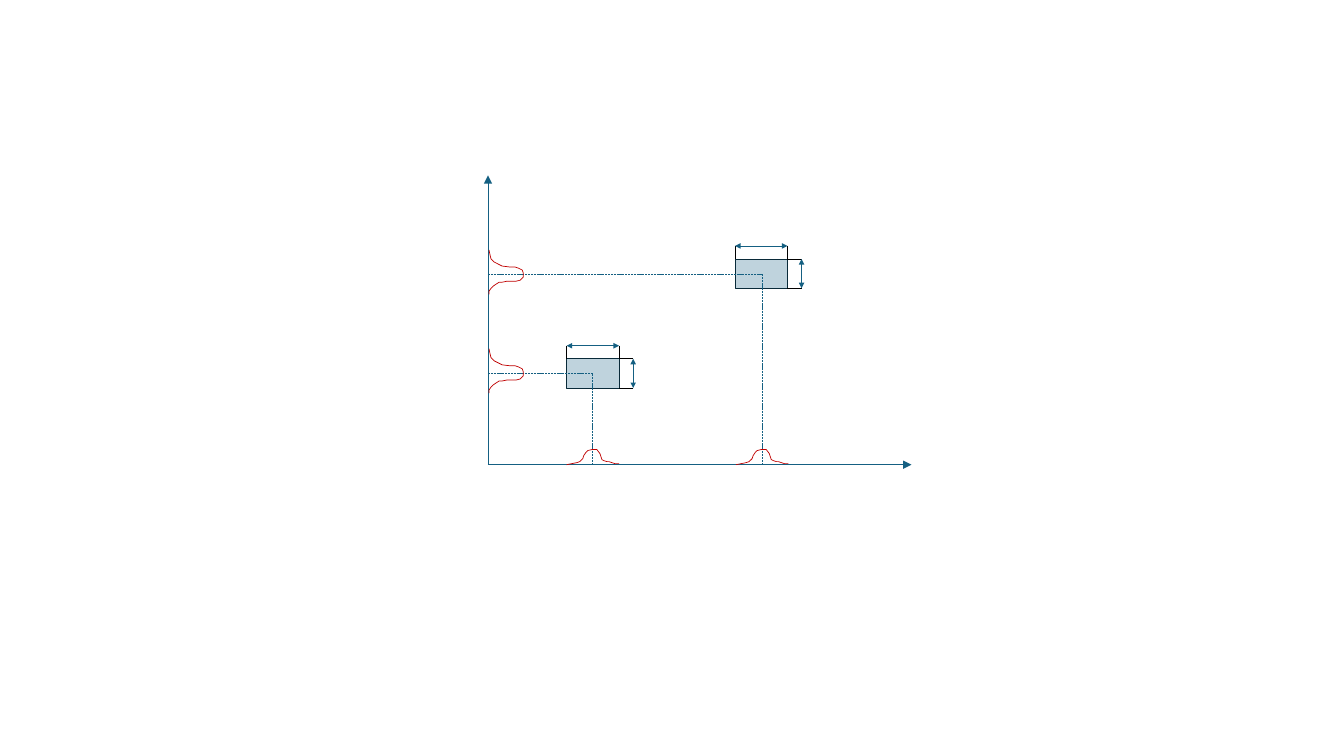
from lxml import etree
from pptx import Presentation
from pptx import util as u
from pptx.dml.color import RGBColor
from pptx.enum import dml, shapes
from pptx.oxml.ns import qn

PX = 9144  # 100 px to the inch
TEAL, NAVY, BLACK, RED = "156082", "092A39", "000000", "C00000"

ORIGIN, AXIS_RIGHT, AXIS_TOP = (484, 461), 904, 174
# corner of each range box, and the mean values it marks on the axes
RANGES = [((562, 356), (588, 370)), ((729, 257), (756, 272))]
BOX_WIDTH, BOX_HEIGHT = 52, 29
RISE, REACH = 13, 14  # distance of the dimension lines from a box

# (distance along the axis, height above the axis)
X_BELL = [(0, 0), (10, 2), (13, 3), (16, 6), (17, 9), (19, 12), (21, 14),
          (25, 15), (30, 15), (33, 11), (34, 8), (35, 5), (37, 4), (40, 3),
          (42, 3), (45, 2), (48, 1), (52, 1)]
Y_BELL = [(0, 0), (5, 1), (9, 2), (12, 5), (14, 9), (16, 13), (17, 21),
          (17, 26), (18, 29), (20, 33), (23, 34), (27, 34), (30, 31),
          (31, 27), (31, 18), (32, 13), (32, 10), (34, 7), (36, 4), (38, 2),
          (41, 0), (44, 0)]
BELL_OFFSET = {"x": 26, "y": 24}  # from the start of a bell to its mean


def color(code):
    return RGBColor.from_string(code)


def style_line(shape, code):
    shape.line.color.rgb = color(code)
    shape.line.width = u.Pt(0.5)


def add_line(parent, start, end, code=TEAL, arrows=(), arrow_size="med", dashed=False):
    ends = [value * PX for value in (*start, *end)]
    line = parent.add_connector(shapes.MSO_CONNECTOR.STRAIGHT, *ends)
    style_line(line, code)
    if dashed:
        line.line.dash_style = dml.MSO_LINE.SQUARE_DOT
    properties = line._element.spPr
    for arrow in arrows:
        etree.SubElement(properties.find(qn("a:ln")), qn(f"a:{arrow}"),
                         type="triangle", w=arrow_size, len=arrow_size)
    etree.SubElement(properties, qn("a:effectLst"))


def add_range(page, left, top):
    """Draw a box with its width and height dimension lines."""
    group = page.shapes.add_group_shape().shapes
    right, bottom = left + BOX_WIDTH, top + BOX_HEIGHT
    box = group.add_shape(shapes.MSO_SHAPE.RECTANGLE, left * PX, top * PX,
                          BOX_WIDTH * PX, BOX_HEIGHT * PX)
    box.shadow.inherit = False
    box.fill.solid()
    box.fill.fore_color.rgb = color(TEAL)
    tint = box._element.spPr.find(qn("a:solidFill"))[0]
    etree.SubElement(tint, qn("a:alpha"), val="27000")
    style_line(box, NAVY)
    for x in (left, right):
        add_line(group, (x, top), (x, top - RISE), BLACK)
    for y in (bottom, top):
        add_line(group, (right + REACH, y), (right, y), BLACK)
    for start, end in (((left, top - RISE), (right, top - RISE)),
                       ((right + REACH, top), (right + REACH, bottom))):
        add_line(group, start, end, arrows=("headEnd", "tailEnd"), arrow_size="sm")


def add_bell(page, points, left, base, rotation=0):
    outline = [(round((left + along) * PX), round((base - height) * PX))
               for along, height in points]
    builder = page.shapes.build_freeform(*outline[0])
    builder.add_line_segments(outline[1:], close=False)
    bell = builder.convert_to_shape()
    bell.shadow.inherit = False
    bell.fill.background()
    style_line(bell, RED)
    bell.rotation = rotation


def main():
    deck = Presentation()
    deck.slide_width, deck.slide_height = 1333 * PX, 750 * PX
    page = deck.slides.add_slide(deck.slide_layouts[6])
    axis_x, axis_y = ORIGIN

    for corner, _ in RANGES:
        add_range(page, *corner)
    for tip in ((AXIS_RIGHT, axis_y), (axis_x, AXIS_TOP)):
        add_line(page.shapes, ORIGIN, tip, arrows=["tailEnd"])
    for _, (x, y) in reversed(RANGES):
        add_line(page.shapes, (axis_x, y), (x, y), dashed=True)
        add_line(page.shapes, (x, axis_y), (x, y), dashed=True)

    for _, (x, _) in RANGES:
        add_bell(page, X_BELL, x - BELL_OFFSET["x"], axis_y)
    # a quarter turn about its middle stands a bell on the vertical axis
    half_length = Y_BELL[-1][0] / 2
    half_height = max(height for _, height in Y_BELL) / 2
    middle_x = axis_x + 1 + half_height
    for _, (_, y) in reversed(RANGES):
        middle_y = y - BELL_OFFSET["y"] + half_length
        add_bell(page, Y_BELL, middle_x - half_length, middle_y + half_height, 90)

    deck.save("out.pptx")


if __name__ == "__main__":
    main()
